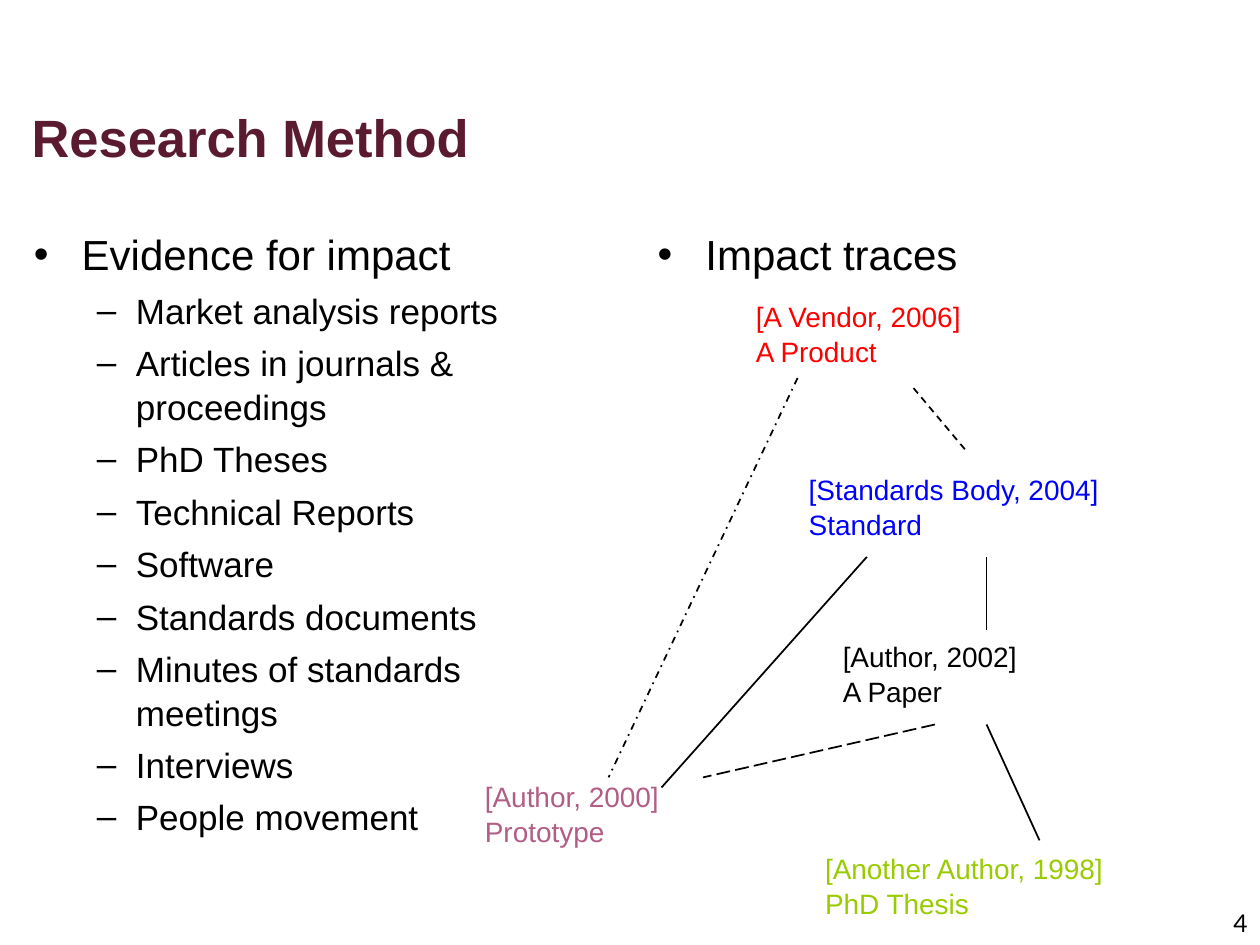
from typing import NamedTuple, Optional

from lxml import etree
from pptx import Presentation
from pptx.dml.color import RGBColor
from pptx.enum.dml import MSO_LINE
from pptx.enum.shapes import MSO_CONNECTOR
from pptx.enum.text import MSO_ANCHOR, PP_ALIGN
from pptx.oxml.ns import qn
from pptx.util import Inches, Pt

LEFT, RIGHT = PP_ALIGN.LEFT, PP_ALIGN.RIGHT
MIDDLE = MSO_ANCHOR.MIDDLE
STRAIGHT = MSO_CONNECTOR.STRAIGHT
DASH, LONG_DASH, DASH_DOT = MSO_LINE.DASH, MSO_LINE.LONG_DASH, MSO_LINE.DASH_DOT

COLORS = {
    "title": "5A1B31",
    "text": "000000",
    "product": "FF0000",
    "standard": "0000FF",
    "prototype": "B25D86",
    "thesis": "99CC00",
}
LINE_SPACING = 1.04


class Level(NamedTuple):
    bullet: str
    size: int
    margin: float
    hanging: float
    space_before: int


class Column(NamedTuple):
    left: float
    heading: str
    items: tuple = ()


class Trace(NamedTuple):
    left: float
    top: float
    width: float
    source: str
    kind: str
    color: str


class Link(NamedTuple):
    start: tuple
    end: tuple
    dash: Optional[MSO_LINE] = None


HEADING = Level("•", 24, 0.38, 0.38, 0)
ITEM = Level("–", 20, 0.81, 0.31, 5)

COLUMNS = [
    Column(0.17, "Evidence for impact", (
        "Market analysis reports",
        "Articles in journals & proceedings",
        "PhD Theses",
        "Technical Reports",
        "Software",
        "Standards documents",
        "Minutes of standards meetings",
        "Interviews",
        "People movement",
    )),
    Column(5.12, "Impact traces"),
]

TRACES = [
    Trace(5.9, 2.32, 1.86, "[A Vendor, 2006]", "A Product", "product"),
    Trace(6.32, 3.69, 2.51, "[Standards Body, 2004]", "Standard", "standard"),
    Trace(6.59, 5.02, 1.59, "[Author, 2002]", "A Paper", "text"),
    Trace(3.75, 6.13, 1.59, "[Author, 2000]", "Prototype", "prototype"),
    Trace(6.45, 6.7, 2.43, "[Another Author, 1998]", "PhD Thesis", "thesis"),
]

LINKS = [
    Link((7.25, 3.08), (7.67, 3.58), DASH),
    Link((7.83, 4.42), (7.83, 5)),
    Link((7.83, 5.75), (8.25, 6.67)),
    Link((7.42, 5.75), (5.58, 6.17), LONG_DASH),
    Link((6.33, 3), (4.83, 6.17), DASH_DOT),
    Link((6.88, 4.42), (5.25, 6.25)),
]


def add_span(para, text: str, size: int, color: str, font: str = "Arial", bold: bool = False) -> None:
    span = para.add_run()
    span.text = text
    span.font.name = font
    span.font.size = Pt(size)
    span.font.bold = bold
    span.font.color.rgb = RGBColor.from_string(COLORS[color])


def add_box(page, left: float, top: float, width: float, height: float, wrap: bool = True):
    box = page.shapes.add_textbox(Inches(left), Inches(top), Inches(width), Inches(height))
    box.text_frame.word_wrap = wrap
    return box.text_frame


def next_para(frame, first: bool):
    para = frame.paragraphs[0] if first else frame.add_paragraph()
    para.line_spacing = LINE_SPACING
    return para


def add_bullet(frame, text: str, level: Level, first: bool = False) -> None:
    para = next_para(frame, first)
    para.space_before = Pt(level.space_before)
    properties = para._p.get_or_add_pPr()
    properties.set("marL", str(Inches(level.margin)))
    properties.set("indent", str(-Inches(level.hanging)))
    etree.SubElement(properties, qn("a:buFont"), typeface="Arial")
    etree.SubElement(properties, qn("a:buChar"), char=level.bullet)
    add_span(para, text, level.size, "text")


def add_column(page, column: Column) -> None:
    frame = add_box(page, column.left, 1.75, 4.79, 5.42)
    add_bullet(frame, column.heading, HEADING, first=True)
    for item in column.items:
        add_bullet(frame, item, ITEM)


def add_trace(page, trace: Trace) -> None:
    frame = add_box(page, trace.left, trace.top, trace.width, 0.64, wrap=False)
    for index, text in enumerate((trace.source, trace.kind)):
        add_span(next_para(frame, index == 0), text, 16, trace.color)


def add_link(page, link: Link) -> None:
    points = [Inches(value) for value in link.start + link.end]
    connector = page.shapes.add_connector(STRAIGHT, *points)
    connector.line.color.rgb = RGBColor.from_string(COLORS["text"])
    connector.line.width = Pt(1)
    if link.dash is not None:
        connector.line.dash_style = link.dash
    etree.SubElement(connector._element.spPr, qn("a:effectLst"))


def add_title(page, text: str) -> None:
    title = page.shapes.title
    title.left, title.top = Inches(0.15), Inches(0.75)
    title.width, title.height = Inches(9.74), Inches(0.67)
    title.text_frame.vertical_anchor = MIDDLE
    para = title.text_frame.paragraphs[0]
    para.alignment = LEFT
    add_span(para, text, 30, "title", bold=True)


def add_page_number(page, number: str) -> None:
    para = add_box(page, 9.22, 7.16, 0.78, 0.37).paragraphs[0]
    para.alignment = RIGHT
    add_span(para, number, 14, "text", font="Lato")


def main() -> None:
    deck = Presentation()
    deck.slide_width, deck.slide_height = Inches(10), Inches(7.5)
    page = deck.slides.add_slide(deck.slide_layouts.get_by_name("Title Only"))
    add_page_number(page, "4")
    add_title(page, "Research Method")
    for column in COLUMNS:
        add_column(page, column)
    for trace in TRACES:
        add_trace(page, trace)
    for link in LINKS:
        add_link(page, link)
    deck.save("out.pptx")


if __name__ == "__main__":
    main()
